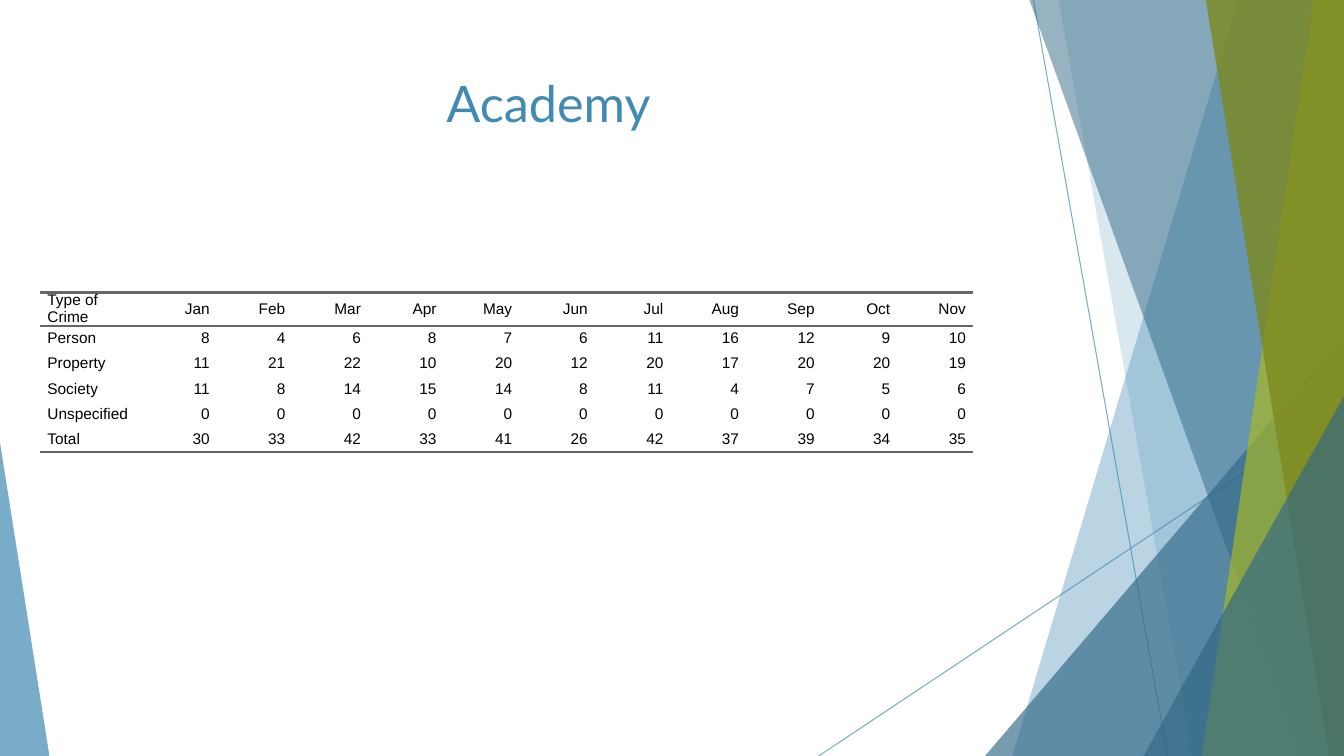
from lxml import etree
from pptx import Presentation
from pptx.dml.color import RGBColor
from pptx.enum.shapes import MSO_CONNECTOR as CONN, MSO_SHAPE as SHAPE
from pptx.enum.text import MSO_ANCHOR as ANCHOR, MSO_AUTO_SIZE as FIT, PP_ALIGN as ALIGN
from pptx.oxml.ns import qn
from pptx.util import Inches, Pt

W, H = 13.33, 7.5
BLUE, NAVY, LIME, OLIVE = "418AB3", "316886", "A6B727", "7D891D"
BLACK, GRAY = "000000", "666666"
NO_STYLE = "{2D5ABB26-0587-4C30-8999-92F81FD0307C}"

MONTHS = "Jan Feb Mar Apr May Jun Jul Aug Sep Oct Nov".split()
CRIMES = [
    ("Person", 8, 4, 6, 8, 7, 6, 11, 16, 12, 9, 10),
    ("Property", 11, 21, 22, 10, 20, 12, 20, 17, 20, 20, 19),
    ("Society", 11, 8, 14, 15, 14, 8, 11, 4, 7, 5, 6),
    ("Unspecified", 0, 0, 0, 0, 0, 0, 0, 0, 0, 0, 0),
    ("Total", 30, 33, 42, 33, 41, 26, 42, 37, 39, 34, 35),
]


def rgb(color):
    return RGBColor.from_string(color)


def set_alpha(parent, percent):
    clr = next(parent.iter(qn("a:srgbClr")))
    etree.SubElement(clr, qn("a:alpha"), val=str(percent * 1000))


def paint(sp, color, opacity):
    sp.shadow.inherit = False
    sp.fill.solid()
    sp.fill.fore_color.rgb = rgb(color)
    set_alpha(sp._element.spPr, opacity)
    sp.line.fill.background()


def add_line(s, start, end):
    line = s.shapes.add_connector(CONN.STRAIGHT, *map(Inches, start + end))
    line.line.width = Pt(0.75)
    line.line.color.rgb = rgb(BLUE)
    spPr = line._element.spPr
    set_alpha(spPr, 70)
    etree.SubElement(spPr, qn("a:effectLst"))


def add_band(s, top_x, bottom_x, color, opacity):
    """Full-height band from a slanted left edge to the slide's right edge."""
    corners = [(Inches(x), Inches(y))
               for x, y in ((top_x, 0), (W, 0), (W, H), (bottom_x, H))]
    outline = s.shapes.build_freeform(*corners[0])
    outline.add_line_segments(corners[1:])
    paint(outline.convert_to_shape(), color, opacity)


def add_triangle(s, left, top, width, apex, color, opacity):
    """Triangle standing on the slide's bottom edge."""
    sp = s.shapes.add_shape(SHAPE.ISOSCELES_TRIANGLE, Inches(left), Inches(top),
                            Inches(width), Inches(H - top))
    sp.adjustments[0] = apex
    paint(sp, color, opacity)


def add_run(p, text, size, font, color):
    r = p.add_run()
    r.text = text
    r.font.size, r.font.name = Pt(size), font
    r.font.color.rgb = rgb(color)


def add_title(s, text):
    sp = s.shapes.title
    sp.left, sp.top, sp.width, sp.height = map(Inches, (0.74, 0.67, 9.4, 1.44))
    tf = sp.text_frame
    tf.auto_size, tf.vertical_anchor = FIT.NONE, ANCHOR.TOP
    p = tf.paragraphs[0]
    p.alignment = ALIGN.CENTER
    add_run(p, text, 36, "Lato", BLUE)


def add_border(cell, side):
    ln = etree.SubElement(cell._tc.get_or_add_tcPr(), qn("a:" + side), w=str(Pt(2)))
    fill = etree.SubElement(ln, qn("a:solidFill"))
    etree.SubElement(fill, qn("a:srgbClr"), val=GRAY)


def fill_cell(cell, text, align, borders):
    for side in borders:
        add_border(cell, side)
    cell.fill.background()
    cell.vertical_anchor = ANCHOR.MIDDLE
    cell.margin_left = cell.margin_right = cell.margin_top = cell.margin_bottom = 0
    p = cell.text_frame.paragraphs[0]
    p.alignment, p.line_spacing = align, Pt(12)
    pPr = p._p.get_or_add_pPr()
    for side in ("marL", "marR"):
        pPr.set(side, str(Inches(0.07)))
    add_run(p, text, 11, "Arial", BLACK)


def add_crime_table(s):
    rows = [("Type of Crime", *MONTHS), *CRIMES]
    widths = [1] + [0.75] * len(MONTHS)
    table = s.shapes.add_table(len(rows), len(widths), Inches(0.4), Inches(2.9),
                               Inches(sum(widths)), Inches(0.25 * len(rows))).table
    table.first_row = table.horz_banding = False
    table._tbl.tblPr.find(qn("a:tableStyleId")).text = NO_STYLE
    for col, width in zip(table.columns, widths):
        col.width = Inches(width)
    borders = {0: ("lnT", "lnB"), len(rows) - 1: ("lnB",)}
    for i, row in enumerate(rows):
        table.rows[i].height = Inches(0.25)
        for j, value in enumerate(row):
            align = ALIGN.RIGHT if j else ALIGN.LEFT
            fill_cell(table.cell(i, j), str(value), align, borders.get(i, ()))


def add_decoration(s):
    add_line(s, (10.25, 0), (11.58, H))
    add_line(s, (W, 4.03), (8.12, H))
    add_band(s, 12.28, 10.04, BLUE, 36)
    add_band(s, 10.5, 11.83, BLUE, 20)
    add_triangle(s, 9.77, 3.33, 3.56, 1, NAVY, 66)
    add_band(s, 10.21, 12.91, NAVY, 50)
    add_band(s, 13.03, 11.92, LIME, 70)
    add_band(s, 11.96, 13.18, OLIVE, 80)
    add_triangle(s, 11.34, 3.93, 1.99, 1, NAVY, 66)
    add_triangle(s, 0, 4.39, 0.49, 0, BLUE, 70)


def main():
    prs = Presentation()
    prs.slide_width, prs.slide_height = Inches(W), Inches(H)
    s = prs.slides.add_slide(prs.slide_layouts[5])
    # Slanted bands and lines at the sides
    add_decoration(s)
    # Content
    add_title(s, "Academy")
    add_crime_table(s)
    prs.save("out.pptx")


if __name__ == "__main__":
    main()
